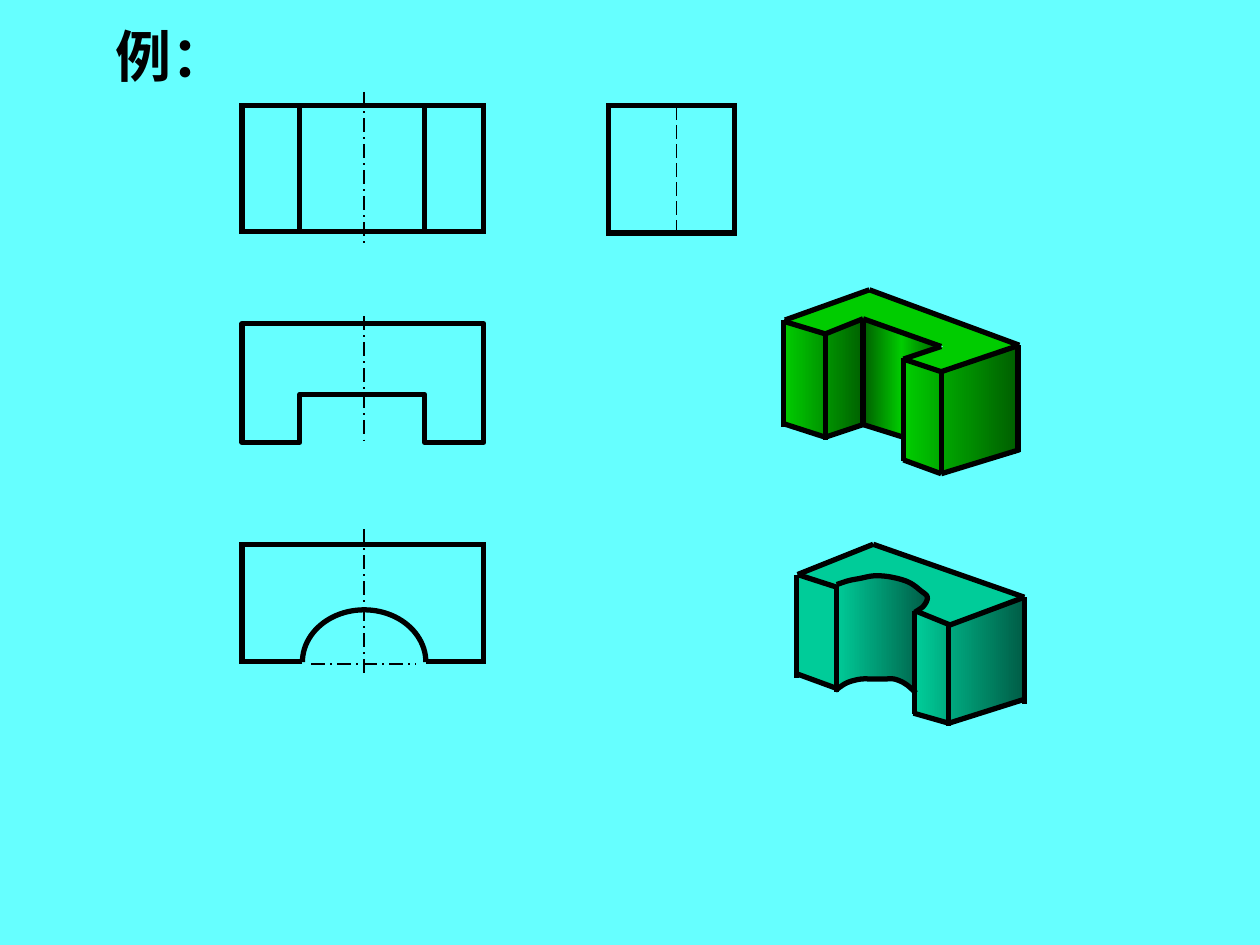
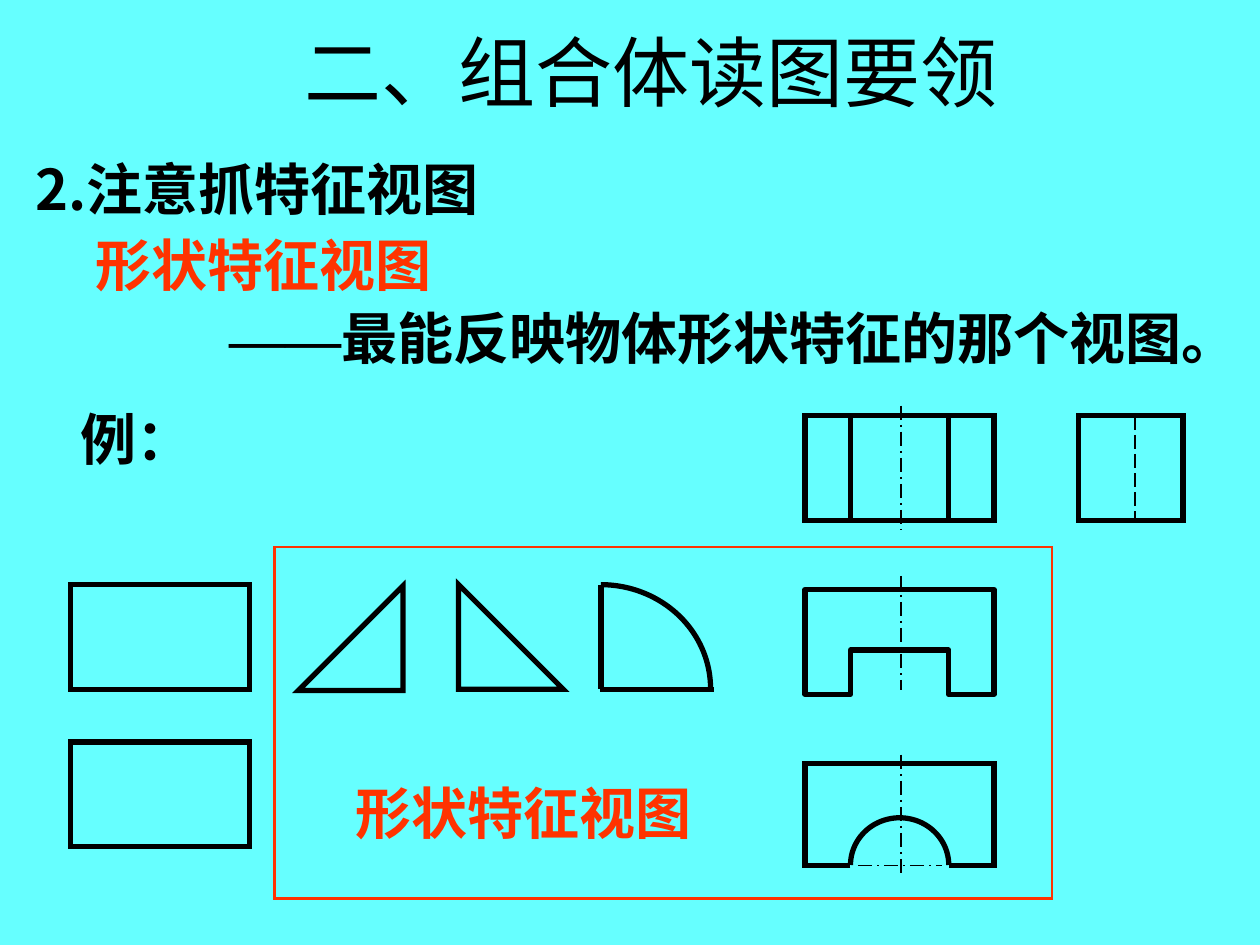
from copy import deepcopy
from dataclasses import dataclass
from itertools import pairwise

from lxml import etree
from pptx import Presentation
from pptx import util as u
from pptx.dml.color import RGBColor
from pptx.enum import dml, shapes, text
from pptx.oxml.ns import qn
from pptx.shapes.autoshape import Shape
from pptx.shapes.shapetree import GroupShapes
from pptx.text.text import Font

PX = 9144  # EMU in one px, 100 px to the inch

CYAN = RGBColor(0x66, 0xFF, 0xFF)
BLACK = RGBColor(0, 0, 0)
RED = RGBColor(0xFF, 0x33, 0x00)
GREEN = RGBColor(0x00, 0xCC, 0x00)
DARK_GREEN = RGBColor(0x00, 0x5E, 0x00)
TEAL = RGBColor(0x00, 0xCC, 0x99)
DARK_TEAL = RGBColor(0x00, 0x5E, 0x47)

SANS = "Noto Sans CJK SC"
SERIF = "Times New Roman"
THICK, THIN = 3, 1
HIDDEN = dml.MSO_LINE.LONG_DASH
AXIS = dml.MSO_LINE.LONG_DASH_DOT
KIND = shapes.MSO_SHAPE

Point = tuple[float, float]
Chain = list[Point]
Span = tuple[int, int]


@dataclass
class Label:
    x: int
    y: int
    w: int
    runs: list[tuple[str, str]]  # text and font
    color: RGBColor = BLACK
    wrap: bool = False
    h: int = 64


@dataclass
class Views:
    """Orthographic views of the slotted and the arched block."""
    x: int
    w: int
    walls: Span
    axis: int
    front_y: int
    front_h: int
    side: tuple[int, int, int, int]
    side_hidden: int
    slot_y: Span
    slot_top: int
    arch_y: Span
    arc: tuple[int, int, int, int]
    arch_axis: tuple[int, int, int]  # from x, to x, y
    axes: tuple[Span, Span, Span]


@dataclass
class Face:
    points: Chain
    colors: list[RGBColor]  # one is solid, more run left to right


@dataclass
class Solid:
    faces: list[Face]
    edges: list[Chain]
    curves: list[Chain]


# ---- drawing helpers ----
def set_outline(sp: Shape, color: RGBColor = BLACK, width: float = THICK, miter: bool = False) -> None:
    sp.line.color.rgb = color
    sp.line.width = u.Pt(width)
    if miter:
        ln = sp._element.spPr.find(qn("a:ln"))
        etree.SubElement(ln, qn("a:miter"), lim="800000")


def add_box(tree: GroupShapes, x: int, y: int, w: int, h: int, kind: KIND = KIND.RECTANGLE,
            color: RGBColor = BLACK, width: float = THICK) -> Shape:
    sp = tree.add_shape(kind, x * PX, y * PX, w * PX, h * PX)
    sp.shadow.inherit = False
    sp.fill.background()
    set_outline(sp, color, width, miter=True)
    return sp


def add_line(tree: GroupShapes, a: Point, b: Point, width: float = THICK,
             dash: dml.MSO_LINE | None = None) -> None:
    ends = [round(v * PX) for v in (*a, *b)]
    cx = tree.add_connector(shapes.MSO_CONNECTOR.STRAIGHT, *ends)
    cx.line.color.rgb = BLACK
    cx.line.width = u.Pt(width)
    if dash:
        cx.line.dash_style = dash
    etree.SubElement(cx._element.spPr, qn("a:effectLst"))


def add_path(tree: GroupShapes, points: Chain, close: bool = False) -> Shape:
    (x0, y0), *rest = [(x * PX, y * PX) for x, y in points]
    fb = tree.build_freeform(round(x0), round(y0))
    fb.add_line_segments(rest, close=close)
    sp = fb.convert_to_shape()
    sp.shadow.inherit = False
    sp.fill.background()
    return sp


def add_face(tree: GroupShapes, face: Face) -> None:
    sp = add_path(tree, face.points, close=True)
    sp.line.fill.background()
    if len(face.colors) == 1:
        sp.fill.solid()
        sp.fill.fore_color.rgb = face.colors[0]
        return
    sp.fill.gradient()
    sp.fill.gradient_angle = 0
    stops = sp._element.spPr.find(qn("a:gradFill")).find(qn("a:gsLst"))
    while len(stops) < len(face.colors):
        stops.append(deepcopy(stops[0]))
    for i, (stop, color) in enumerate(zip(sp.fill.gradient_stops, face.colors)):
        stop.position = i / (len(face.colors) - 1)
        stop.color.rgb = color


def smooth(points: Chain, steps: int = 6) -> Chain:
    """Catmull-Rom curve through the points."""
    padded = [points[0], *points, points[-1]]
    curve = [points[0]]
    for quad in zip(padded, padded[1:], padded[2:], padded[3:]):
        for i in range(1, steps + 1):
            t = i / steps
            x, y = (b + t * (c - a) / 2 + t**2 * (a - 2.5 * b + 2 * c - d / 2)
                    + t**3 * (1.5 * (b - c) + (d - a) / 2) for a, b, c, d in zip(*quad))
            curve.append((x, y))
    return curve


def set_font(font: Font, latin: str, east_asian: str) -> None:
    font.name = latin
    etree.SubElement(font._element, qn("a:ea"), typeface=east_asian)


def add_label(tree: GroupShapes, label: Label) -> None:
    tb = tree.add_textbox(label.x * PX, label.y * PX, label.w * PX, label.h * PX)
    tf = tb.text_frame
    tf.word_wrap = label.wrap
    p = tf.paragraphs[0]
    p.font.size = u.Pt(32)
    p.font.bold = True
    p.font.color.rgb = label.color
    for words, name in label.runs:
        r = p.add_run()
        r.text = words
        is_dash = words == "——"
        set_font(r.font, name, SERIF if is_dash else SANS)


# ---- views and solids ----
def add_views(tree: GroupShapes, v: Views) -> None:
    left, right = v.x, v.x + v.w
    wall_l, wall_r = v.walls

    # Front and side views
    add_box(tree, *v.side)
    side_y, side_h = v.side[1], v.side[3]
    add_line(tree, (v.side_hidden, side_y), (v.side_hidden, side_y + side_h), THIN, HIDDEN)
    add_box(tree, v.x, v.front_y, v.w, v.front_h)
    for wall in v.walls:
        add_line(tree, (wall, v.front_y), (wall, v.front_y + v.front_h))

    # Slotted plan
    top, base = v.slot_y
    sp = add_path(tree, [(left, top), (right, top), (right, base), (wall_r, base), (wall_r, v.slot_top),
                         (wall_l, v.slot_top), (wall_l, base), (left, base)], close=True)
    set_outline(sp)

    # Arched plan
    top, base = v.arch_y
    arc_x, _, arc_w, _ = v.arc
    sp = add_path(tree, [(arc_x, base), (left, base), (left, top), (right, top), (right, base),
                         (arc_x + arc_w, base)])
    set_outline(sp, miter=True)
    sp = add_box(tree, *v.arc, KIND.ARC)
    sp.adjustments[0], sp.adjustments[1] = 108, 0  # left to right over the top
    x1, x2, y = v.arch_axis
    add_line(tree, (x1, y), (x2, y), THIN, AXIS)

    for y1, y2 in v.axes:
        add_line(tree, (v.axis, y1), (v.axis, y2), THIN, AXIS)


def add_solid(tree: GroupShapes, solid: Solid) -> None:
    for face in solid.faces:
        add_face(tree, face)
    for chain in solid.edges:
        for a, b in pairwise(chain):
            add_line(tree, a, b)
    for curve in solid.curves:
        set_outline(add_path(tree, smooth(curve)))


# ---- content ----
LARGE_VIEWS = Views(
    x=192, w=192, walls=(238, 337), axis=289, front_y=84, front_h=100,
    side=(483, 84, 100, 101), side_hidden=537, slot_y=(257, 351), slot_top=313,
    arch_y=(432, 525), arc=(240, 484, 98, 83), arch_axis=(247, 330, 527),
    axes=((73, 194), (251, 351), (420, 536)))
SMALL_VIEWS = Views(
    x=639, w=150, walls=(675, 753), axis=715, front_y=330, front_h=83,
    side=(856, 330, 83, 83), side_hidden=901, slot_y=(468, 551), slot_top=516,
    arch_y=(606, 687), arc=(675, 649, 78, 75), arch_axis=(681, 748, 687),
    axes=((322, 421), (457, 548), (599, 695)))

SLOTTED = Solid(
    faces=[
        Face([(685, 254), (685, 337), (716, 346), (716, 285), (746, 275)], [DARK_GREEN, GREEN, DARK_GREEN]),
        Face([(624, 254), (690, 230), (808, 273), (747, 295), (717, 287), (749, 275), (685, 253),
              (653, 265)], [GREEN]),
        Face([(718, 285), (718, 366), (749, 375), (808, 359), (808, 274), (747, 294)], [GREEN, DARK_GREEN]),
        Face([(622, 255), (622, 337), (655, 347), (687, 337), (687, 254), (654, 265)], [GREEN, DARK_GREEN]),
    ],
    edges=[
        [(623, 254), (690, 230), (809, 274), (747, 295), (717, 285), (747, 275), (685, 253), (655, 265),
         (622, 255)],
        [(621, 336), (655, 347), (685, 337), (717, 347)],
        [(717, 365), (747, 376), (809, 357)],
        *([(x, y1), (x, y2)] for x, y1, y2 in [
            (622, 254, 339), (655, 264, 349), (685, 253, 337), (717, 284, 366), (747, 294, 376),
            (808, 274, 359)]),
    ],
    curves=[])

RIM = [(664, 464), (673, 461), (683, 459), (694, 457), (707, 458), (721, 462), (731, 469), (736, 474),
       (733, 481), (726, 486)]
FOOT = [(663, 548), (672, 542), (683, 539), (693, 539), (701, 539), (710, 539), (719, 543), (727, 550)]
ARCHED = Solid(
    faces=[
        Face([(633, 457), (662, 466), *RIM, (754, 497), (813, 474), (691, 432)], [TEAL]),
        Face([(727, 486), (727, 566), (753, 574), (812, 556), (812, 473), (753, 496)], [TEAL, DARK_TEAL]),
        Face([*FOOT, *reversed(RIM)], [TEAL, DARK_TEAL]),
        Face([(633, 455), (633, 535), (664, 547), (664, 466)], [TEAL]),
    ],
    edges=[
        [(664, 466), (633, 456), (693, 432), (813, 474), (754, 496), (727, 485)],
        [(633, 535), (663, 546)],
        [(725, 566), (753, 574), (813, 555)],
        *([(x, y1), (x, y2)] for x, y1, y2 in [
            (632, 456, 538), (664, 464, 549), (726, 485, 567), (753, 496, 576), (813, 474, 559)]),
    ],
    curves=[RIM, FOOT])

EXAMPLE = [("例：", SERIF)]
FEATURE_VIEW = [("形状特征视图", SANS)]
RULES = [
    Label(18, 118, 418, [("2.注意抓特征视图", SANS)], wrap=True),
    Label(172, 236, 831, [("——", SERIF), ("最能反映物体形状特征的那个视图。", SANS)]),
    Label(66, 178, 287, FEATURE_VIEW, RED),
    Label(54, 316, 109, EXAMPLE),
    Label(272, 613, 287, FEATURE_VIEW, RED),
]


def build_example(prs: Presentation) -> None:
    s = prs.slides.add_slide(prs.slide_layouts[6])
    add_label(s.shapes, Label(82, 12, 109, EXAMPLE))
    add_views(s.shapes.add_group_shape().shapes, LARGE_VIEWS)
    for solid in (SLOTTED, ARCHED):
        add_solid(s.shapes.add_group_shape().shapes, solid)


def build_rules(prs: Presentation) -> None:
    s = prs.slides.add_slide(prs.slide_layouts[5])
    title = s.shapes.title
    title.left, title.top, title.width, title.height = (v * PX for v in (92, 0, 850, 113))
    tf = title.text_frame
    tf.text = "二、组合体读图要领"
    tf.vertical_anchor = text.MSO_ANCHOR.MIDDLE
    p = tf.paragraphs[0]
    p.alignment = text.PP_ALIGN.CENTER
    p.font.size = u.Pt(44)
    p.font.color.rgb = BLACK
    set_font(p.font, SERIF, SANS)

    for label in RULES:
        add_label(s.shapes, label)
    add_views(s.shapes.add_group_shape().shapes, SMALL_VIEWS)
    add_box(s.shapes, 218, 434, 617, 279, color=RED, width=1.5)

    # Basic outlines: two rectangles, two triangles, a quarter disc
    tree = s.shapes.add_group_shape().shapes
    for y in (464, 589):
        add_box(tree, 56, y, 142, 83)
    add_box(tree, 364, 464, 83, 83, KIND.RIGHT_TRIANGLE)
    sp = add_box(tree, 237, 465, 83, 83, KIND.RIGHT_TRIANGLE)
    sp._element.spPr.find(qn("a:xfrm")).set("flipH", "1")
    add_box(tree, 390, 464, 174, 165, KIND.ARC)
    add_line(tree, (477, 464), (477, 547))
    add_line(tree, (476, 547), (567, 547))


def main() -> None:
    prs = Presentation()
    prs.slide_width, prs.slide_height = 1000 * PX, 750 * PX
    fill = prs.slide_master.background.fill
    fill.solid()
    fill.fore_color.rgb = CYAN
    build_example(prs)
    build_rules(prs)
    prs.save("out.pptx")


if __name__ == "__main__":
    main()
